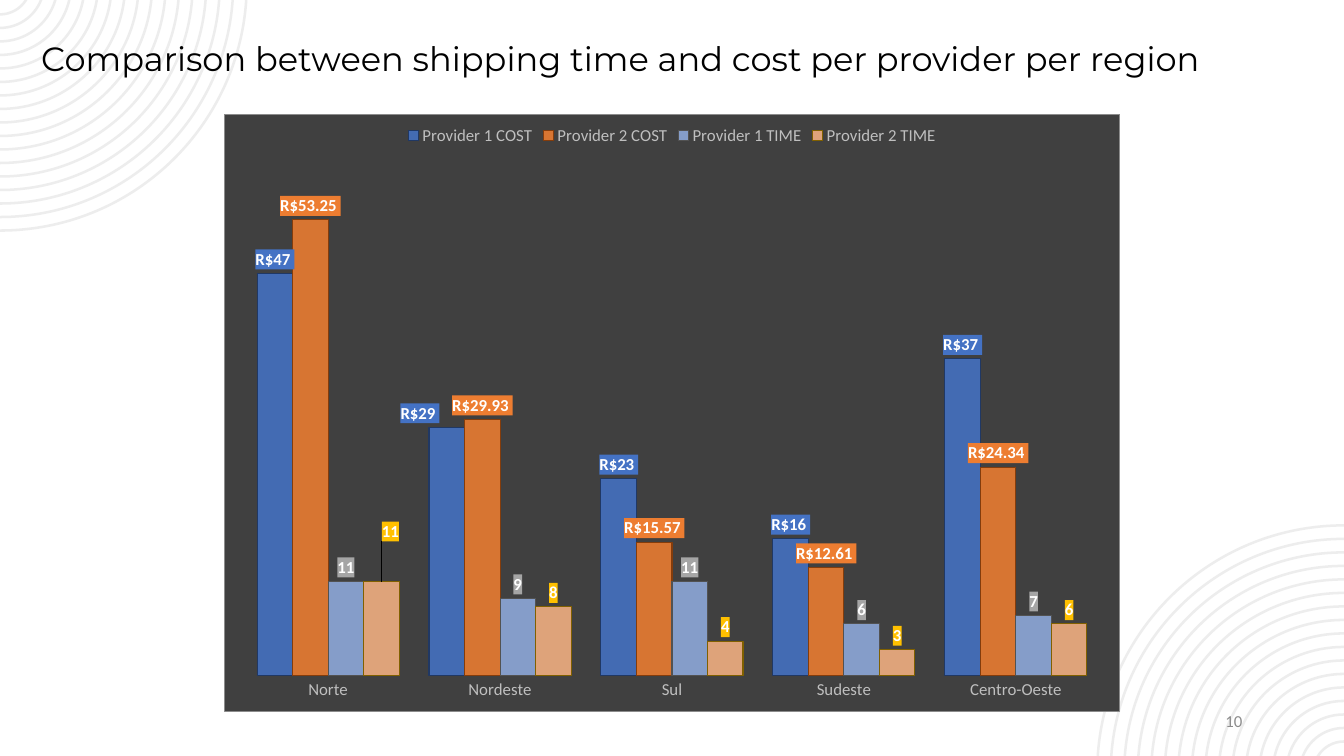
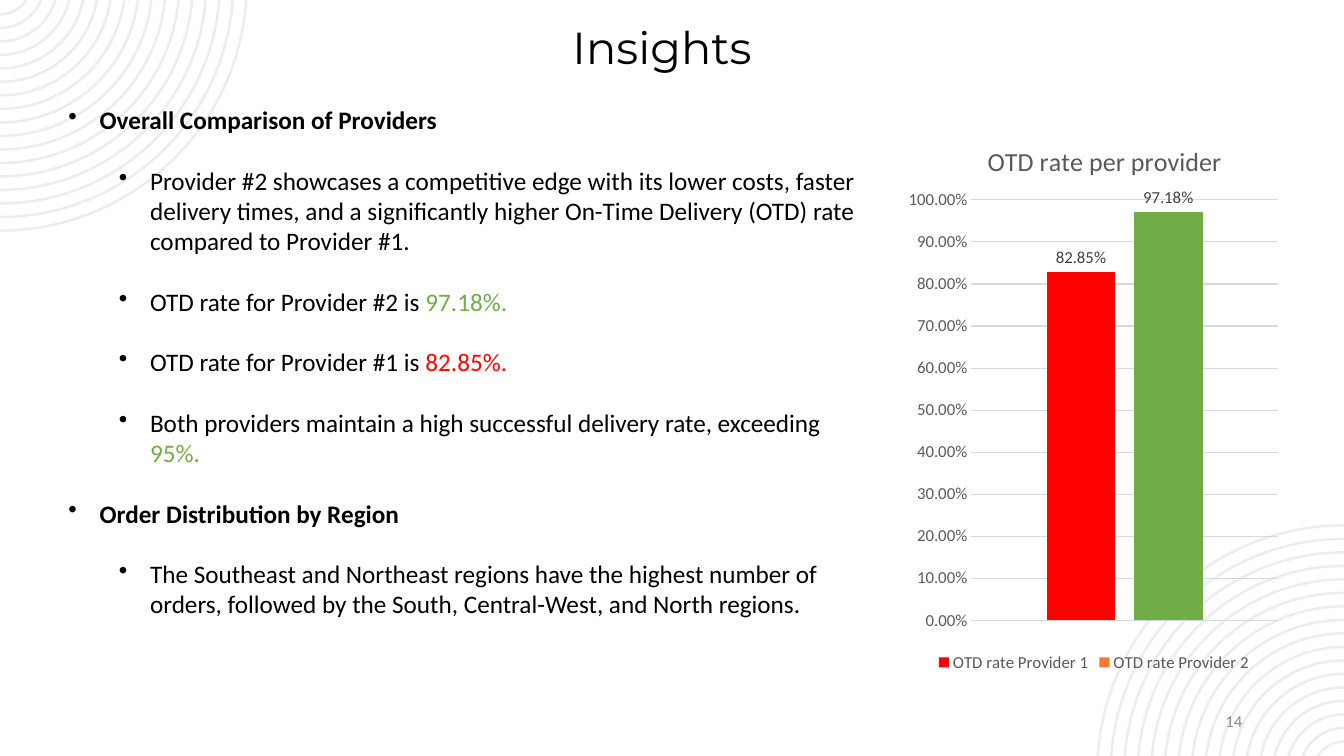
from copy import deepcopy
from math import asin, cos, pi, sin, tan

from lxml.etree import SubElement
from pptx import Presentation
from pptx.chart.data import CategoryChartData
from pptx.dml.color import RGBColor
from pptx.enum.chart import XL_CHART_TYPE, XL_LABEL_POSITION as LABEL_POS
from pptx.enum.chart import XL_LEGEND_POSITION as LEGEND, XL_TICK_MARK as TICK
from pptx.enum.text import MSO_ANCHOR as ANCHOR, MSO_AUTO_SIZE as AUTO, PP_ALIGN as ALIGN
from pptx.oxml import parse_xml
from pptx.oxml.ns import nsdecls, qn
from pptx.util import Inches, Pt

BLACK = RGBColor(0x00, 0x00, 0x00)
WHITE = RGBColor(0xFF, 0xFF, 0xFF)
RING = RGBColor(0xED, 0xED, 0xED)
MUTED = RGBColor(0x8C, 0x8C, 0x8C)
LIGHT = RGBColor(0xBF, 0xBF, 0xBF)
GRID = RGBColor(0xD9, 0xD9, 0xD9)
TEXT_GREY = RGBColor(0x59, 0x59, 0x59)
CHARCOAL = RGBColor(0x40, 0x40, 0x40)
BLUE = RGBColor(0x44, 0x72, 0xC4)
NAVY = RGBColor(0x20, 0x38, 0x64)
ORANGE = RGBColor(0xED, 0x7D, 0x31)
BROWN = RGBColor(0x84, 0x3C, 0x0B)
PALE_BLUE = RGBColor(0x8F, 0xAA, 0xDC)
DARK_GREY = RGBColor(0x52, 0x52, 0x52)
MID_GREY = RGBColor(0xA5, 0xA5, 0xA5)
PEACH = RGBColor(0xF4, 0xB1, 0x83)
OLIVE = RGBColor(0x80, 0x60, 0x00)
GOLD = RGBColor(0xFF, 0xC0, 0x00)
GREEN = RGBColor(0x70, 0xAD, 0x47)
RED = RGBColor(0xFF, 0x00, 0x00)
TITLE_FONT, BODY_FONT = "Montserrat", "Calibri"
WIDTH, HEIGHT = 13.33, 7.5

prs = Presentation()
prs.slide_width, prs.slide_height = Inches(WIDTH), Inches(HEIGHT)


def style(font, size, color, name=BODY_FONT, bold=False):
    font.size, font.name, font.bold = Pt(size), name, bold
    font.color.rgb = color


def set_layout(parent, index, **values):
    """Place a chart part by fractions of the chart area."""
    old = parent.find(qn("c:layout"))
    if old is not None:
        parent.remove(old)
    layout = parent.makeelement(qn("c:layout"))
    manual = SubElement(layout, qn("c:manualLayout"))
    for key, value in values.items():
        SubElement(manual, qn("c:" + key)).set("val", str(value))
    parent.insert(index, layout)


# Rings around a point just outside the top left corner: one Bezier arc out, one back
OFFSET, THICKNESS = 0.16, 0.025
rings = []
for i in range(17):
    outer = 2.46 - 0.134 * i
    ring = []
    for radius, order in ((outer, 1), (outer - THICKNESS, -1)):
        start = asin(OFFSET / radius)
        x, y = radius * cos(start), radius * sin(start)
        k = 4 / 3 * tan((pi / 2 - start) / 4)
        arc = [(x, y), (x - k * y, y + k * x), (k * radius, radius), (0, radius)]
        ring += [(ax, ay - OFFSET) for ax, ay in arc[::order]]
    rings.append(ring)

# Shared frame: corner rings, page number, title
slides = []
for title, size, left, top, width, height, number in (
    ("Comparison between shipping time and cost per provider per region",
     24, 0.31, 0.33, 12.71, 0.5, "10"),
    ("Insights", 32, 5.58, 0.15, 2.17, 0.64, "14"),
):
    s = prs.slides.add_slide(prs.slide_layouts[6])
    slides.append(s)
    for flipped in (False, True):
        builder = None
        for ring in rings:
            pts = [(WIDTH - x, HEIGHT - y) if flipped else (x, y) for x, y in ring]
            pts = [(Inches(x), Inches(y)) for x, y in pts]
            if builder is None:
                builder = s.shapes.build_freeform(*pts[0])
            else:
                builder.move_to(*pts[0])
            builder.add_line_segments(pts[1:])
        sp = builder.convert_to_shape()
        sp.shadow.inherit = False
        sp.fill.solid()
        sp.fill.fore_color.rgb = RING
        sp.line.fill.background()
        # Each ring has seven segments: turn the first and last three into curves
        segments = list(sp._element.iter(qn("a:lnTo")))
        for i in range(0, len(segments), 7):
            for first in (i, i + 4):
                curve = segments[first].makeelement(qn("a:cubicBezTo"))
                segments[first].addprevious(curve)
                for segment in segments[first:first + 3]:
                    curve.append(segment[0])
                    segment.getparent().remove(segment)

    for text, box, look, align, anchor, fit in (
        (number, (9.42, 6.95, 3, 0.4), (12, MUTED), ALIGN.RIGHT, ANCHOR.MIDDLE, False),
        (title, (left, top, width, height), (size, BLACK, TITLE_FONT),
         ALIGN.LEFT, ANCHOR.TOP, True),
    ):
        tf = s.shapes.add_textbox(*map(Inches, box)).text_frame
        tf.word_wrap = not fit
        tf.auto_size = AUTO.SHAPE_TO_FIT_TEXT if fit else AUTO.NONE
        tf.vertical_anchor = anchor
        p = tf.paragraphs[0]
        p.alignment = align
        r = p.add_run()
        r.text = text
        style(r.font, *look)

# Insights bullets: level, then runs of text and colour
tf = slides[1].shapes.add_textbox(*map(Inches, (0.58, 0.99, 8.09, 5.55))).text_frame
tf.word_wrap = True
tf.auto_size = AUTO.SHAPE_TO_FIT_TEXT
bullets = (
    (0, [("Overall Comparison of Providers", BLACK)]),
    (1, [("Provider #2 showcases a competitive edge with its lower costs, faster delivery "
          "times, and a significantly higher On-Time Delivery (OTD) rate compared to "
          "Provider #1.", BLACK)]),
    (1, [("OTD rate for Provider #2 is ", BLACK), ("97.18%.", GREEN)]),
    (1, [("OTD rate for Provider #1 is ", BLACK), ("82.85%.", RED)]),
    (1, [("Both providers maintain a high successful delivery rate, exceeding ", BLACK),
         ("95%.", GREEN)]),
    (0, [("Order Distribution by Region", BLACK)]),
    (1, [("The Southeast and Northeast regions have the highest number of orders, followed "
          "by the South, Central-West, and North regions.", BLACK)]),
)
for i, (level, runs) in enumerate(bullets):
    p = tf.paragraphs[0] if i == 0 else tf.add_paragraph()
    p.level = level
    if i < len(bullets) - 1:
        p.space_after = Pt(21.6)
    pPr = p._p.get_or_add_pPr()
    pPr.set("marL", str(Inches(0.31 + 0.5 * level)))
    pPr.set("indent", str(-Inches(0.31)))
    SubElement(pPr, qn("a:buChar")).set("char", "•")
    for text, color in runs:
        r = p.add_run()
        r.text = text
        style(r.font, 18, color, bold=level == 0)

# Both charts: series hold name, values, bar fill, bar line, label fill, label format
REAL = '"R$"#,##0_);[Red]\\("R$"#,##0\\)'
REAL_CENTS = '"R$"#,##0.00_);[Red]\\("R$"#,##0.00\\)'
charts = []
for s, box, cats, series, gap, overlap, legend_at, color, label_color, plot_box in (
    (slides[0], (2.22, 1.13, 8.89, 5.93),
     ["Norte", "Nordeste", "Sul", "Sudeste", "Centro-Oeste"],
     (("Provider 1 COST", (47, 29, 23, 16, 37), BLUE, NAVY, BLUE, REAL),
      ("Provider 2 COST", (53.25, 29.93, 15.57, 12.61, 24.34),
       ORANGE, BROWN, ORANGE, REAL_CENTS),
      ("Provider 1 TIME", (11, 9, 11, 6, 7), PALE_BLUE, DARK_GREY, MID_GREY, "General"),
      ("Provider 2 TIME", (11, 8, 4, 3, 6), PEACH, OLIVE, GOLD, "General")),
     84, 0, LEGEND.TOP, LIGHT, WHITE, dict(x=0.02, y=0.08, w=0.96, h=0.86)),
    (slides[1], (8.95, 1.15, 3.8, 5.56), ["1"],
     (("OTD rate Provider 1", (0.8285,), RED, None, None, "0.00%"),
      ("OTD rate Provider 2", (0.9718,), ORANGE, None, None, "0.00%")),
     219, -27, LEGEND.BOTTOM, TEXT_GREY, CHARCOAL, dict(x=0.18, y=0.15, w=0.8, h=0.75)),
):
    data = CategoryChartData()
    data.categories = cats
    for name, values, *_ in series:
        data.add_series(name, values)
    chart = s.shapes.add_chart(
        XL_CHART_TYPE.COLUMN_CLUSTERED, *map(Inches, box), data).chart
    charts.append(chart)
    style(chart.font, 10, BLACK)
    chart.has_title = False
    chart.has_legend = True
    chart.legend.position = legend_at
    chart.legend.include_in_layout = False
    style(chart.legend.font, 12, color)
    for axis in (chart.category_axis, chart.value_axis):
        axis.major_tick_mark = axis.minor_tick_mark = TICK.NONE
        axis.format.line.fill.background()
        style(axis.tick_labels.font, 12, color)
    chart.value_axis.minimum_scale = 0

    plot = chart.plots[0]
    plot.gap_width, plot.overlap, plot.vary_by_categories = gap, overlap, False
    set_layout(chart._chartSpace.find(".//" + qn("c:plotArea")), 0,
               layoutTarget="inner", xMode="edge", yMode="edge", **plot_box)
    for ser, (_, _, fill, line, label_fill, number_format) in zip(plot.series, series):
        ser.format.fill.solid()
        ser.format.fill.fore_color.rgb = fill
        labels = ser.data_labels
        labels.show_value = True
        labels.position = LABEL_POS.OUTSIDE_END
        labels.number_format, labels.number_format_is_linked = number_format, False
        style(labels.font, 12, label_color, bold=label_fill is not None)
        if label_fill is not None:
            ser.format.line.color.rgb = line
            ser.format.line.width = Pt(0.75)
            bar_color = ser._element.find(
                f"{qn('c:spPr')}/{qn('a:solidFill')}/{qn('a:srgbClr')}")
            SubElement(bar_color, qn("a:alpha")).set("val", "88000")
            labels._element.find(qn("c:txPr")).addprevious(parse_xml(
                f'<c:spPr {nsdecls("c", "a")}><a:solidFill><a:srgbClr val="{label_fill}"/>'
                '</a:solidFill></c:spPr>'))

# Cost and time chart: dark area, hidden value axis, two shifted labels
chart = charts[0]
chart.value_axis.maximum_scale = 60
chart.value_axis.has_major_gridlines = False
chart.value_axis.visible = False
chart._chartSpace.find(qn("c:txPr")).addprevious(parse_xml(
    f'<c:spPr {nsdecls("c", "a")}><a:solidFill><a:srgbClr val="{CHARCOAL}"/></a:solidFill>'
    f'<a:ln w="{Pt(0.5)}"><a:solidFill><a:srgbClr val="{MUTED}"/></a:solidFill></a:ln>'
    '</c:spPr>'))
for ser_index, point, dx, dy in ((0, 1, -0.03, 0), (3, 0, 0.01, -0.06)):
    ser = chart.plots[0].series[ser_index]
    ser.points[point].data_label.position = LABEL_POS.OUTSIDE_END
    labels = ser.data_labels._element
    label = labels.find(qn("c:dLbl"))
    for old in label.findall(qn("c:spPr")) + label.findall(qn("c:txPr")):
        label.remove(old)
    set_layout(label, 1, x=dx, y=dy)
    for i, tag in enumerate(("c:numFmt", "c:spPr", "c:txPr")):
        label.insert(2 + i, deepcopy(labels.find(qn(tag))))

# OTD chart: title, percent axis, green second bar
chart = charts[1]
chart.has_title = True
p = chart.chart_title.text_frame.paragraphs[0]
r = p.add_run()
r.text = "OTD rate per provider"
style(r.font, 18.6, TEXT_GREY)
set_layout(chart._chartSpace.find(".//" + qn("c:title")), 1,
           xMode="edge", yMode="edge", x=0.21, y=0.04)
chart.category_axis.visible = False
axis = chart.value_axis
axis.maximum_scale, axis.major_unit = 1, 0.1
axis.tick_labels.number_format = "0.00%"
axis.tick_labels.number_format_is_linked = False
axis.major_gridlines.format.line.color.rgb = GRID
axis.major_gridlines.format.line.width = Pt(0.75)
bar = chart.plots[0].series[1].points[0].format.fill
bar.solid()
bar.fore_color.rgb = GREEN

prs.save("out.pptx")
